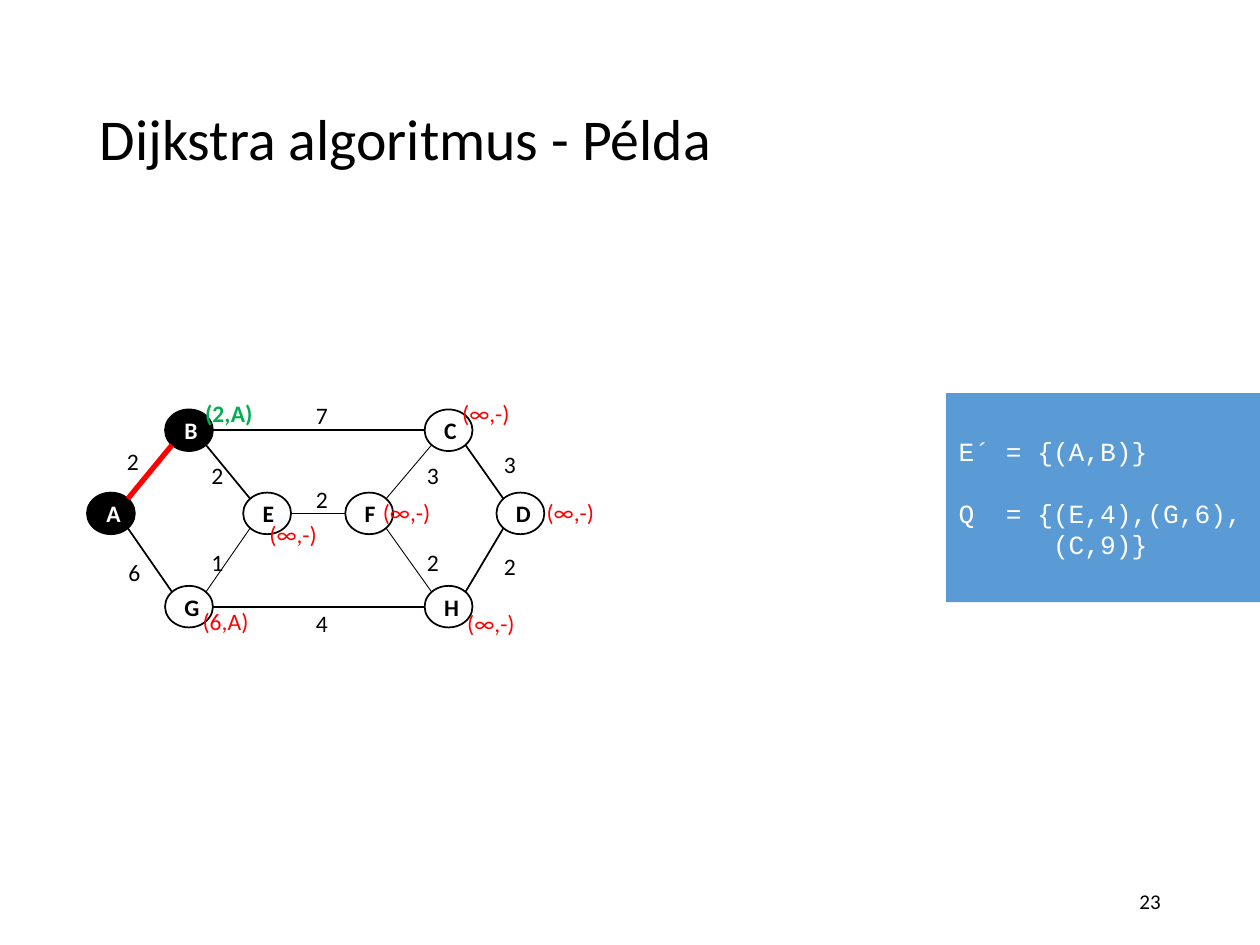
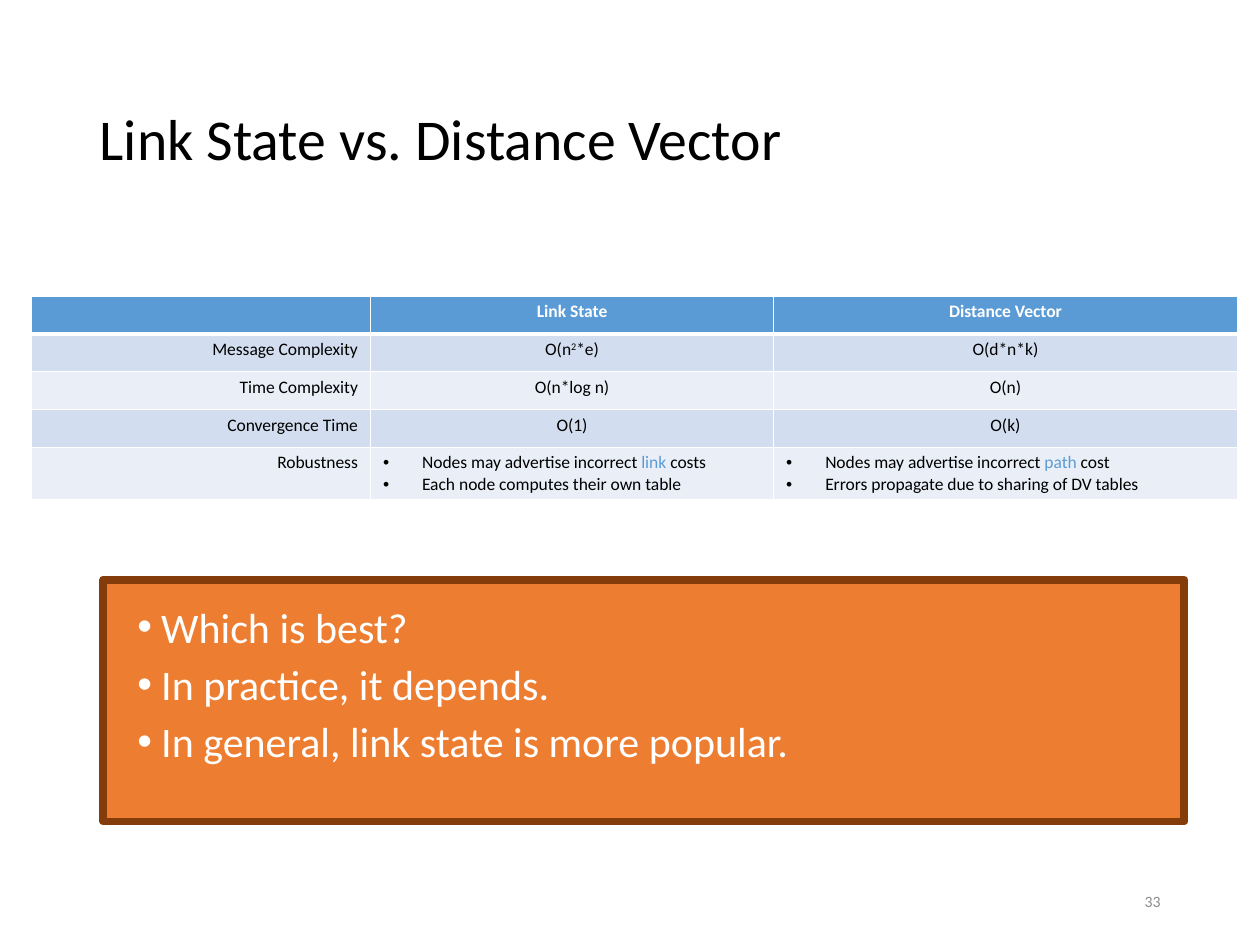
from lxml import etree
from pptx import Presentation
from pptx import util as u
from pptx.dml.color import RGBColor
from pptx.enum import shapes, text
from pptx.oxml.ns import qn

BLACK = RGBColor(0x00, 0x00, 0x00)
WHITE = RGBColor(0xFF, 0xFF, 0xFF)
RED = RGBColor(0xFF, 0x00, 0x00)
GREEN = RGBColor(0x00, 0xB0, 0x50)
GREY = RGBColor(0x8C, 0x8C, 0x8C)
BLUE = RGBColor(0x5B, 0x9B, 0xD5)
BAND_DARK = RGBColor(0xD2, 0xDE, 0xEF)
BAND_LIGHT = RGBColor(0xEA, 0xEF, 0xF7)
ORANGE = RGBColor(0xED, 0x7D, 0x31)
BROWN = RGBColor(0x84, 0x3C, 0x0B)

BODY_FONT = "Calibri"
CODE_FONT = "Courier New"
LEFT, CENTER, RIGHT = text.PP_ALIGN.LEFT, text.PP_ALIGN.CENTER, text.PP_ALIGN.RIGHT
MIDDLE = text.MSO_ANCHOR.MIDDLE

NODE_WIDTH, NODE_HEIGHT = 0.38, 0.33
GRAPH_SIZE = 13.5
NODES = {  # name: (left, top)
    "A": (0.69, 3.91), "B": (1.31, 3.25), "G": (1.31, 4.65), "C": (3.37, 3.25),
    "H": (3.37, 4.65), "D": (3.94, 3.91), "E": (1.93, 3.91), "F": (2.74, 3.91),
}
VISITED = "AB"
TREE_EDGES = ["AB"]
EDGES = [  # nodes, line width, weight, left and top of the weight
    ("AB", 3, "2", 0.91, 3.5), ("AG", 1, "6", 0.92, 4.38),
    ("BC", 1, "7", 2.41, 3.13), ("GH", 1, "4", 2.41, 4.78),
    ("HD", 1, "2", 3.9, 4.33), ("CD", 1, "3", 3.9, 3.52),
    ("BE", 1, "2", 1.58, 3.61), ("GE", 0.5, "1", 1.58, 4.3),
    ("EF", 0.5, "2", 2.41, 3.8), ("FC", 0.5, "3", 3.29, 3.61),
    ("FH", 0.5, "2", 3.29, 4.3),
]
DISTANCES = [  # label, left, top
    ("(∞,-)", 2.94, 3.9), ("(∞,-)", 2.04, 4.08), ("(6,A)", 1.51, 4.77),
    ("(2,A)", 1.53, 3.12), ("(∞,-)", 3.57, 3.12), ("(∞,-)", 4.24, 3.9),
    ("(∞,-)", 3.61, 4.78),
]

# A cell is a list of paragraphs; a paragraph is a list of (text, style) runs or a string.
COMPARISON = [
    [[], ["Link State"], ["Distance Vector"]],
    [["Message Complexity"], [[("O(n", ""), ("2", "super"), ("*e)", "")]], ["O(d*n*k)"]],
    [["Time Complexity"], ["O(n*log n)"], ["O(n)"]],
    [["Convergence Time"], ["O(1)"], ["O(k)"]],
    [["Robustness"],
     [[("Nodes may advertise incorrect ", ""), ("link", "accent"), (" costs", "")],
      "Each node computes their own table"],
     [[("Nodes may advertise incorrect ", ""), ("path", "accent"), (" cost", "")],
      "Errors propagate due to sharing of DV tables"]],
]
COLUMN_WIDTHS = [2.69, 3.2, 3.68]
ROW_HEIGHTS = [0.3, 0.3, 0.3, 0.3, 0.41]


def add_bullet(para, margin, hanging):
    properties = para._p.get_or_add_pPr()
    properties.set("marL", str(u.Inches(margin)))
    properties.set("indent", str(-u.Inches(hanging)))
    etree.SubElement(properties, qn("a:buFont"), typeface="Arial")
    etree.SubElement(properties, qn("a:buChar"), char="•")


def add_cell_borders(cell, bottom_width):
    properties = cell._tc.get_or_add_tcPr()
    for side, width in (("L", 1), ("R", 1), ("T", 1), ("B", bottom_width)):
        line = etree.SubElement(properties, qn(f"a:ln{side}"), w=str(u.Pt(width)))
        fill = etree.SubElement(line, qn("a:solidFill"))
        etree.SubElement(fill, qn("a:srgbClr"), val=str(WHITE))


def graph_anchor(name, other):
    """Point on the node's outline that faces the other node."""
    def sign(value):
        return (value > 0.01) - (value < -0.01)

    left, top = NODES[name]
    across, down = sign(NODES[other][0] - left), sign(NODES[other][1] - top)
    reach = 0.5 ** 0.5 if down else 1
    return (left + NODE_WIDTH / 2 * (1 + across * reach),
            top + NODE_HEIGHT / 2 * (1 + down * reach))


class SlideWriter:
    def __init__(self, deck):
        self.deck = deck
        self.page = None

    def new_page(self, title, number, number_size, number_color):
        self.page = self.deck.slides.add_slide(self.deck.slide_layouts[5])
        box = self.page.shapes.title
        box.left, box.top, box.width, box.height = map(u.Inches, (0.69, 0.4, 8.62, 1.45))
        frame = box.text_frame
        frame.auto_size = text.MSO_AUTO_SIZE.NONE
        frame.vertical_anchor = MIDDLE
        frame.text = title
        frame.paragraphs[0].line_spacing = 0.9
        self.style(frame.paragraphs[0], 33)
        footer = self.label(number, 7.06, 6.95, 2.25, 0.4, number_size, number_color, wrap=True)
        footer.text_frame.vertical_anchor = MIDDLE
        footer.text_frame.paragraphs[0].alignment = RIGHT

    def style(self, para, size, color=BLACK, bold=False, align=LEFT, font=BODY_FONT):
        para.alignment = align
        para.font.name = font
        para.font.size = u.Pt(size)
        para.font.bold = bold
        para.font.color.rgb = color

    def label(self, words, left, top, width, height, size, color=BLACK, bold=False, wrap=False):
        box = self.page.shapes.add_textbox(*map(u.Inches, (left, top, width, height)))
        box.text_frame.word_wrap = wrap
        box.text_frame.text = words
        for para in box.text_frame.paragraphs:
            self.style(para, size, color, bold)
        return box

    def shape(self, kind, left, top, width, height, fill, line=None, line_width=1):
        shape = self.page.shapes.add_shape(kind, *map(u.Inches, (left, top, width, height)))
        shape.shadow.inherit = False
        shape.fill.solid()
        shape.fill.fore_color.rgb = fill
        if line is None:
            shape.line.fill.background()
        else:
            shape.line.color.rgb = line
            shape.line.width = u.Pt(line_width)
        shape.text_frame.vertical_anchor = MIDDLE
        return shape

    def node(self, name):
        fill, ink = (BLACK, WHITE) if name in VISITED else (WHITE, BLACK)
        node = self.shape(shapes.MSO_SHAPE.OVAL, *NODES[name], NODE_WIDTH, NODE_HEIGHT,
                          fill, BLACK)
        node.text_frame.text = name
        self.style(node.text_frame.paragraphs[0], GRAPH_SIZE, ink, True, CENTER)

    def edge(self, start, end, width, color):
        points = graph_anchor(start, end) + graph_anchor(end, start)
        edge = self.page.shapes.add_connector(shapes.MSO_CONNECTOR.STRAIGHT,
                                              *map(u.Inches, points))
        edge.line.color.rgb = color
        edge.line.width = u.Pt(width)
        etree.SubElement(edge._element.spPr, qn("a:effectLst"))

    def code_panel(self, lines, left, top, width, height):
        """Lines are (text, space before in points)."""
        panel = self.shape(shapes.MSO_SHAPE.RECTANGLE, left, top, width, height, BLUE)
        frame = panel.text_frame
        frame.text = "\n".join(words for words, _ in lines)
        for para, (_, gap) in zip(frame.paragraphs, lines):
            para.space_before = u.Pt(gap)
            self.style(para, 15, WHITE, font=CODE_FONT)

    def table(self, rows, left, top):
        size = sum(COLUMN_WIDTHS), sum(ROW_HEIGHTS)
        frame = self.page.shapes.add_table(len(rows), len(COLUMN_WIDTHS),
                                           *map(u.Inches, (left, top, *size)))
        table = frame.table
        for column, width in zip(table.columns, COLUMN_WIDTHS):
            column.width = u.Inches(width)
        for index, (row, height) in enumerate(zip(rows, ROW_HEIGHTS)):
            table.rows[index].height = u.Inches(height)
            for position, paragraphs in enumerate(row):
                self.cell(table.cell(index, position), paragraphs, index, position)

    def cell(self, cell, paragraphs, row, column):
        header = row == 0
        bulleted = len(paragraphs) > 1
        cell.margin_left = cell.margin_right = u.Inches(0.1)
        cell.margin_top = cell.margin_bottom = u.Inches(0.04)
        add_cell_borders(cell, 3 if header else 1)
        cell.fill.solid()
        cell.fill.fore_color.rgb = BLUE if header else (BAND_DARK if row % 2 else BAND_LIGHT)
        align = LEFT if bulleted else RIGHT if column == 0 else CENTER
        if not paragraphs:
            etree.SubElement(cell.text_frame.paragraphs[0]._p, qn("a:endParaRPr"), sz="1000")
        for index, content in enumerate(paragraphs):
            frame = cell.text_frame
            para = frame.add_paragraph() if index else frame.paragraphs[0]
            if bulleted:
                add_bullet(para, 0.31, 0.31)
            self.style(para, 10, WHITE if header else BLACK, header, align)
            for words, look in [(content, "")] if isinstance(content, str) else content:
                span = para.add_run()
                span.text = words
                if look == "accent":
                    span.font.color.rgb = BLUE
                elif look == "super":
                    span._r.get_or_add_rPr().set("baseline", "30000")

    def callout(self, lines):
        panel = self.shape(shapes.MSO_SHAPE.RECTANGLE, 0.82, 4.6, 8.58, 1.92, ORANGE, BROWN, 4.5)
        box = self.page.shapes.add_textbox(*map(u.Inches, (0.93, 4.73, 8.43, 1.71)))
        frame = box.text_frame
        frame.word_wrap = True
        frame.margin_left = frame.margin_right = u.Inches(0.07)
        frame.margin_top = frame.margin_bottom = u.Inches(0.04)
        frame.text = "\n".join(lines)
        for index, para in enumerate(frame.paragraphs):
            add_bullet(para, 0.28, 0.19)
            para.space_before = u.Pt(4 if index else 0)
            self.style(para, 24, WHITE)
        self.page.shapes.add_group_shape([panel, box])


def dijkstra_page(writer):
    writer.new_page("Dijkstra algoritmus - Példa", "23", 12, BLACK)
    for name in NODES:
        writer.node(name)
    for (start, end), width, weight, left, top in EDGES:
        writer.edge(start, end, width, RED if start + end in TREE_EDGES else BLACK)
        writer.label(weight, left, top, 0.3, 0.33, GRAPH_SIZE)
    for words, left, top in DISTANCES:
        final = words == "(2,A)"
        writer.label(words, left, top, 0.58, 0.33, GRAPH_SIZE, GREEN if final else RED, final)
    writer.code_panel([("E´ = {(A,B)}", 0), ("Q  = {(E,4),(G,6),", 17), ("      (C,9)}", 0)],
                      7.51, 3.12, 2.49, 1.66)


def comparison_page(writer):
    writer.new_page("Link State vs. Distance Vector", "33", 9, GREY)
    writer.table(COMPARISON, 0.25, 2.35)
    writer.callout(["Which is best?", "In practice, it depends.",
                    "In general, link state is more popular."])


def main():
    deck = Presentation()
    deck.slide_width, deck.slide_height = u.Inches(10), u.Inches(7.5)
    writer = SlideWriter(deck)
    dijkstra_page(writer)
    comparison_page(writer)
    deck.save("out.pptx")


if __name__ == "__main__":
    main()
